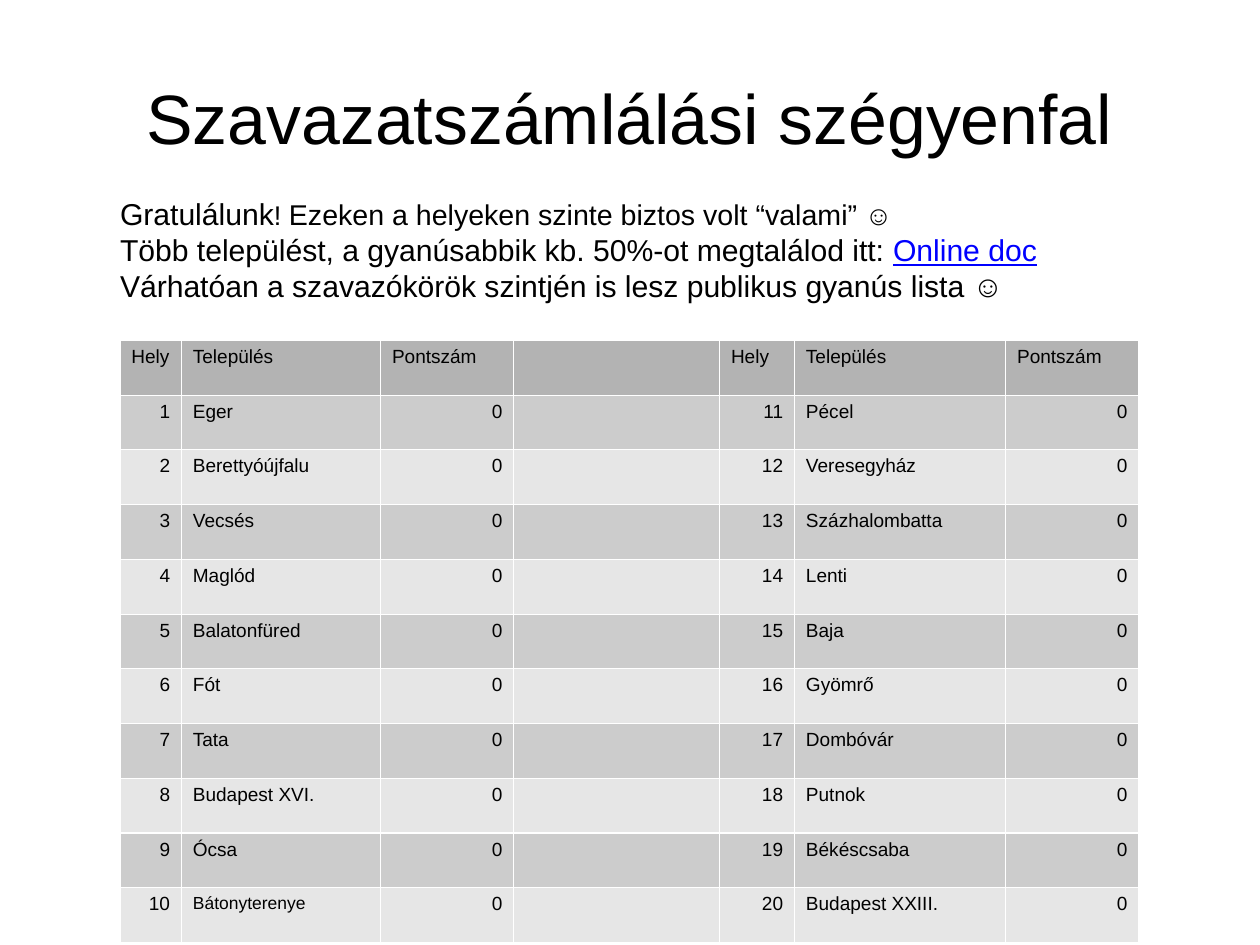
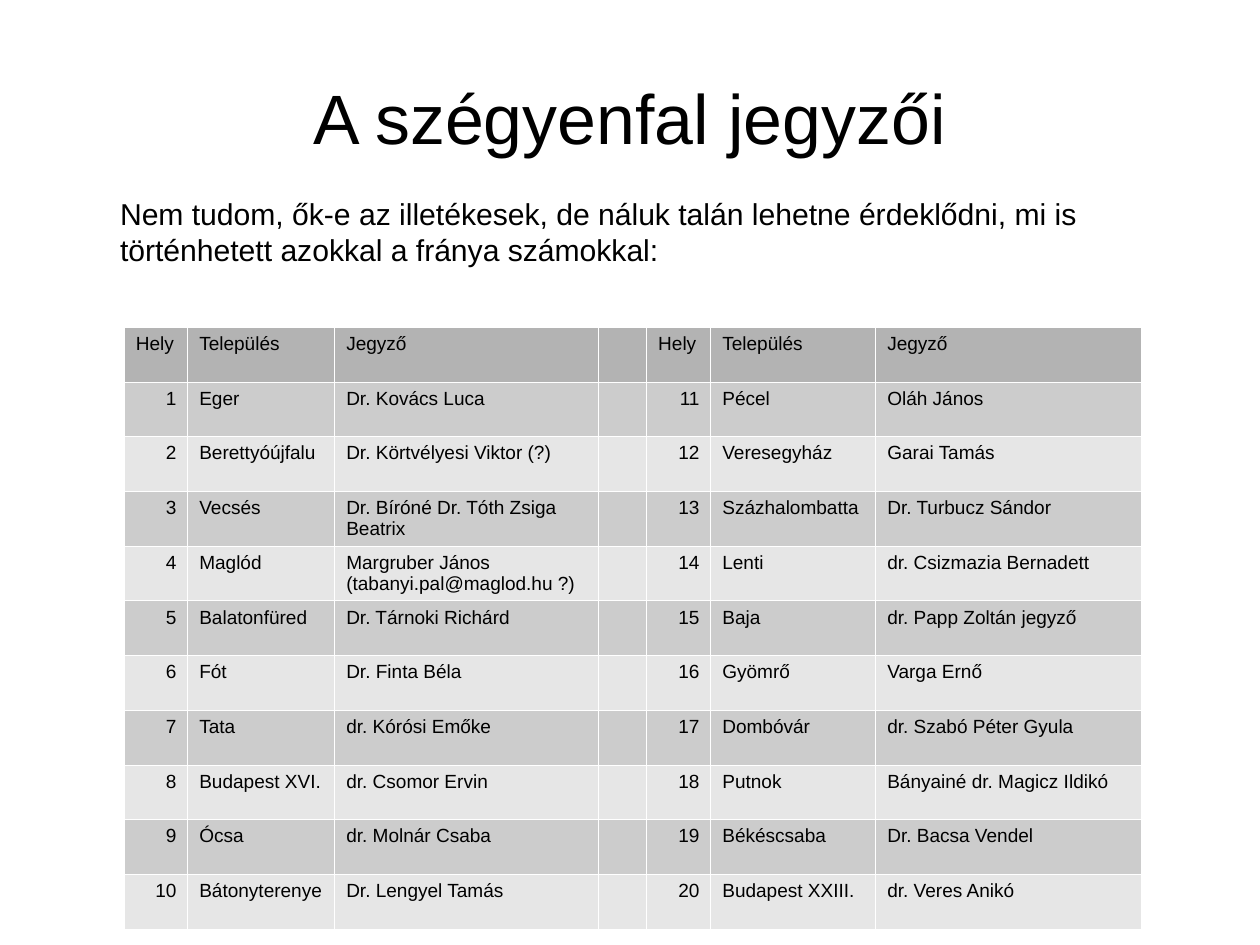
"""Build two slides that list towns in paired ranking tables."""
import dataclasses
import typing

import pptx
import pptx.dml.color
import pptx.enum.text
import pptx.oxml
import pptx.oxml.ns
import pptx.util

PX = 3000
FONT = "Arial"
BLACK, WHITE, BLUE = "000000", "FFFFFF", "0000FF"
HEAD, DARK, LIGHT = "B3B3B3", "CCCCCC", "E6E6E6"
ALIGN = pptx.enum.text.PP_ALIGN
ANCHOR = pptx.enum.text.MSO_ANCHOR
TOWNS = [
    "Eger", "Berettyóújfalu", "Vecsés", "Maglód", "Balatonfüred",
    "Fót", "Tata", "Budapest XVI.", "Ócsa", "Bátonyterenye",
    "Pécel", "Veresegyház", "Százhalombatta", "Lenti", "Baja",
    "Gyömrő", "Dombóvár", "Putnok", "Békéscsaba", "Budapest XXIII.",
]
CLERKS = [
    "Dr. Kovács Luca", "Dr. Körtvélyesi Viktor (?)",
    "Dr. Bíróné Dr. Tóth Zsiga Beatrix",
    "Margruber János (tabanyi.pal@maglod.hu ?)",
    "Dr. Tárnoki Richárd", "Dr. Finta Béla", "dr. Kórósi Emőke",
    "dr. Csomor Ervin", "dr. Molnár Csaba", "Dr. Lengyel Tamás",
    "Oláh János", "Garai Tamás", "Dr. Turbucz Sándor",
    "dr. Csizmazia Bernadett", "dr. Papp Zoltán jegyző", "Varga Ernő",
    "dr. Szabó Péter Gyula", "Bányainé dr. Magicz Ildikó",
    "Dr. Bacsa Vendel", "dr. Veres Anikó",
]


@dataclasses.dataclass(frozen=True)
class Span:
    text: str
    size: int = 19
    color: str = BLACK
    line: bool = False


@dataclasses.dataclass(frozen=True)
class Box:
    left: int
    top: int
    width: int
    height: int


@dataclasses.dataclass(frozen=True)
class Grid:
    left: int
    top: int
    cols: list[int]
    label: str
    values: list[str]
    right: bool = False
    small: tuple[str, ...] = ()
    row: int = 146
    wrap: int = 30


@dataclasses.dataclass(frozen=True)
class Page:
    title: str
    body: Box
    lines: list[list[Span]]
    grid: Grid


PAGES = [
    Page(
        "Szavazatszámlálási szégyenfal",
        Box(168, 521, 2871, 287),
        [
            [Span("Gratulálunk"), Span("! ", 17),
             Span("Ezeken a helyeken szinte biztos volt “valami”", 18),
             Span(" ☺", 17)],
            [Span("Több települést, a gyanúsabbik kb. 50%-ot megtalálod itt: "),
             Span("Online doc", color=BLUE, line=True)],
            [Span("Várhatóan a szavazókörök szintjén is lesz publikus gyanús lista ☺")],
        ],
        Grid(320, 908, [164, 531, 355, 549, 200, 563, 355], "Pontszám",
             ["0"] * len(TOWNS), right=True, small=("Bátonyterenye",)),
    ),
    Page(
        "A szégyenfal jegyzői",
        Box(168, 521, 2932, 256),
        [[Span("Nem tudom, ők-e az illetékesek, de náluk talán lehetne érdeklődni, "
               "mi is történhetett azokkal a fránya számokkal:")]],
        Grid(332, 873, [169, 392, 704, 128, 171, 440, 709], "Jegyző", CLERKS),
    ),
]


def px(count: int) -> pptx.util.Emu:
    return pptx.util.Emu(count * PX)


def hue(code: str) -> pptx.dml.color.RGBColor:
    return pptx.dml.color.RGBColor.from_string(code)


def write(para: typing.Any, text: str, *, size: int = 12, color: str = BLACK,
          line: bool = False, align: typing.Any = ALIGN.LEFT) -> None:
    para.alignment = align
    run = para.add_run()
    run.text = text
    run.font.name = FONT
    run.font.size = pptx.util.Pt(size)
    run.font.color.rgb = hue(color)
    if line:
        run.font.underline = True


def frame(slide: typing.Any, box: Box, anchor: typing.Any) -> typing.Any:
    shape = slide.shapes.add_textbox(
        px(box.left), px(box.top), px(box.width), px(box.height))
    area = shape.text_frame
    area.word_wrap = True
    area.vertical_anchor = anchor
    area.margin_left = area.margin_right = 0
    area.margin_top = area.margin_bottom = 0
    return area


def body(slide: typing.Any, box: Box, lines: list[list[Span]]) -> None:
    area = frame(slide, box, ANCHOR.TOP)
    for index, spans in enumerate(lines):
        para = area.add_paragraph() if index else area.paragraphs[0]
        for span in spans:
            write(para, span.text, size=span.size, color=span.color, line=span.line)
        para._p.get_or_add_pPr().set("marL", str(px(152)))


def edge(cell: typing.Any) -> None:
    props = cell._tc.get_or_add_tcPr()
    for side in "LRTB":
        props.append(pptx.oxml.parse_xml(
            f'<a:ln{side} {pptx.oxml.ns.nsdecls("a")} w="9525"><a:solidFill>'
            f'<a:srgbClr val="{WHITE}"/></a:solidFill></a:ln{side}>'))


def table(slide: typing.Any, grid: Grid) -> None:
    half = len(TOWNS) // 2
    ranks = [[str(at + 1), TOWNS[at], grid.values[at]] for at in range(len(TOWNS))]
    names = ["Hely", "Település", grid.label]
    rows = [names + [""] + names]
    rows += [ranks[at] + [""] + ranks[at + half] for at in range(half)]
    made = slide.shapes.add_table(
        len(rows), len(grid.cols), px(grid.left), px(grid.top),
        px(sum(grid.cols)), px(grid.row * len(rows))).table
    made.first_row = made.horz_banding = False
    for col, width in zip(made.columns, grid.cols):
        col.width = px(width)
    for top, texts in enumerate(rows):
        made.rows[top].height = px(grid.row)
        fill = HEAD if top == 0 else DARK if top % 2 else LIGHT
        for left, text in enumerate(texts):
            cell = made.cell(top, left)
            edge(cell)
            cell.fill.solid()
            cell.fill.fore_color.rgb = hue(fill)
            if len(text) > grid.wrap:
                cell.margin_bottom = px(5)
            if text:
                ends = left % 4 == 0 or (grid.right and left % 4 == 2)
                write(cell.text_frame.paragraphs[0], text,
                      size=11 if text in grid.small else 12,
                      align=ALIGN.RIGHT if top and ends else ALIGN.LEFT)


def main() -> None:
    deck = pptx.Presentation()
    deck.slide_width, deck.slide_height = px(3360), px(2520)
    for page in PAGES:
        slide = deck.slides.add_slide(deck.slide_layouts[6])
        title = frame(slide, Box(168, 101, 3024, 421), ANCHOR.MIDDLE)
        write(title.paragraphs[0], page.title, size=44, align=ALIGN.CENTER)
        body(slide, page.body, page.lines)
        table(slide, page.grid)
    deck.save("out.pptx")


if __name__ == "__main__":
    main()
